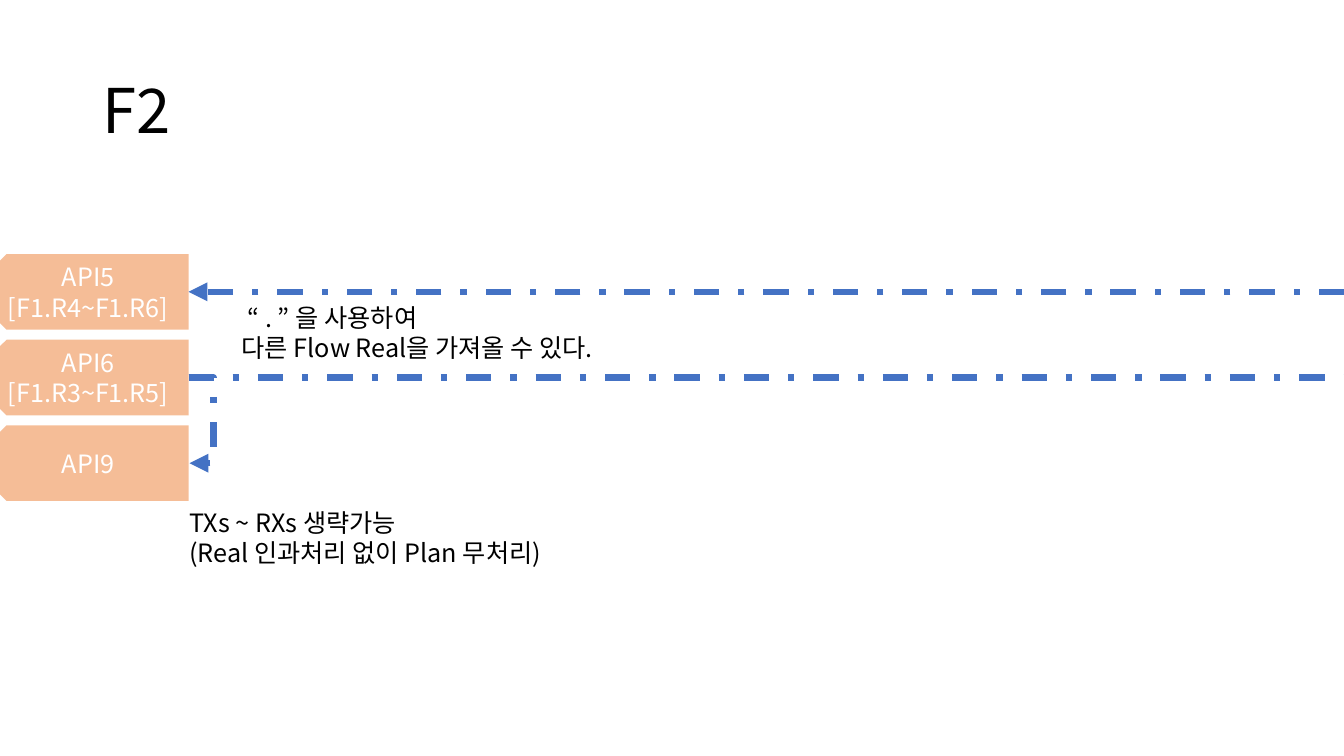
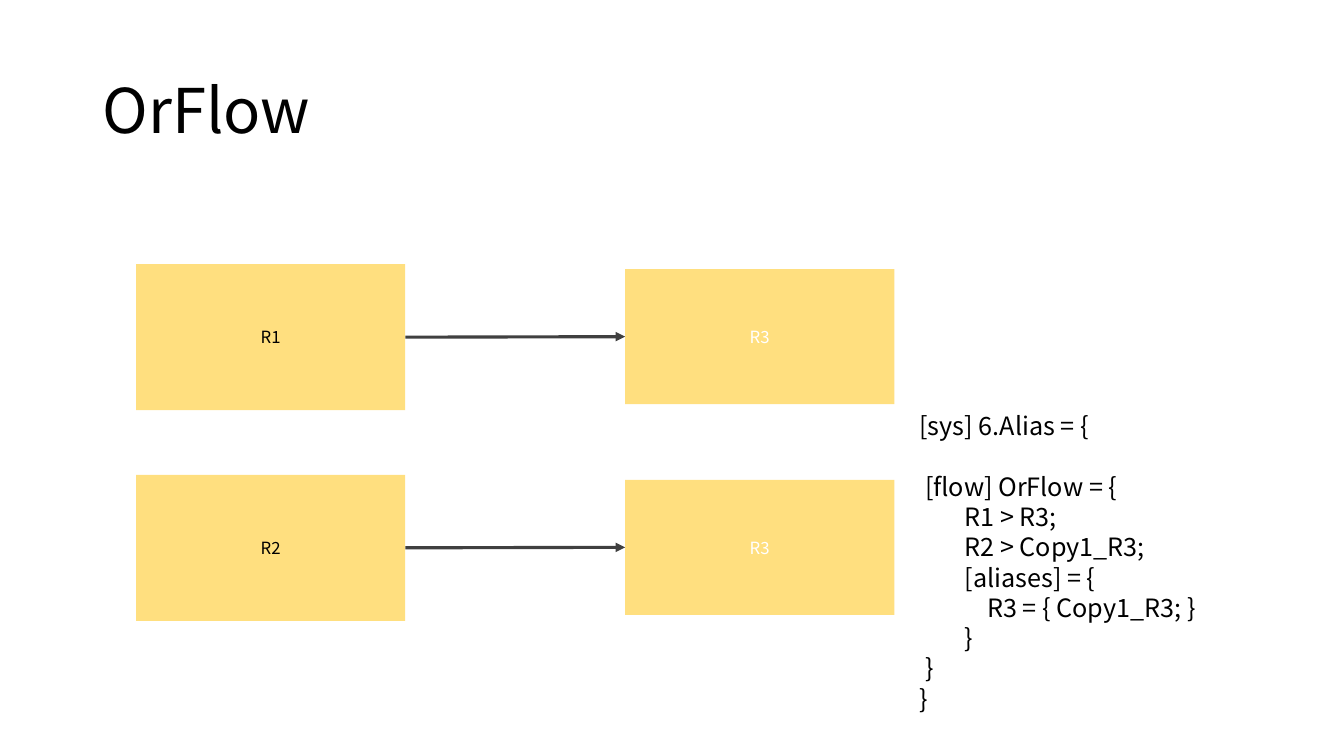
"""Build the F2 and OrFlow slides."""
from pptx import Presentation
from pptx.dml.color import RGBColor
from pptx.enum.dml import MSO_LINE
from pptx.enum.shapes import MSO_CONNECTOR as CXN, MSO_SHAPE as SHAPE
from pptx.enum.text import MSO_ANCHOR as ANCHOR, PP_ALIGN as ALIGN
from pptx.oxml.ns import qn
from pptx.util import Inches, Pt
from lxml.etree import SubElement

FONT = "Noto Sans CJK KR"
BLACK, WHITE = "000000", "FFFFFF"
ORANGE, YELLOW = "ED7D31", "FFC000"
BLUE, GRAY = "4472C4", "404040"


def add_box(s, at, text, size=18, color=BLACK, kind=None, fill=None):
    at = [Inches(v) for v in at]
    if kind is None:
        sp = s.shapes.add_textbox(*at)
    else:
        sp = s.shapes.add_shape(kind, *at)
        sp.shadow.inherit = False
        sp.line.fill.background()
        sp.fill.solid()
        sp.fill.fore_color.rgb = RGBColor.from_string(fill)
        clr = sp._element.spPr.find(qn("a:solidFill"))[0]
        SubElement(clr, qn("a:alpha"), val="50000")
    tf = sp.text_frame
    tf.word_wrap = kind != SHAPE.PENTAGON
    tf.vertical_anchor = ANCHOR.MIDDLE if kind else ANCHOR.TOP
    tf.text = text
    for p in tf.paragraphs:
        p.alignment = ALIGN.CENTER if kind else ALIGN.LEFT
        for r in p.runs:
            r.font.size = Pt(size)
            r.font.color.rgb = RGBColor.from_string(color)
            r.font.name = FONT
            SubElement(r.font._element, qn("a:ea"), typeface=FONT)
    return sp


def add_line(s, kind, start, end, color, width, arrow=True, dash=None):
    cxn = s.shapes.add_connector(kind, *[Inches(v) for v in start + end])
    cxn.line.color.rgb = RGBColor.from_string(color)
    cxn.line.width = Pt(width)
    if dash:
        cxn.line.dash_style = dash
    sppr = cxn._element.spPr
    if arrow:
        SubElement(sppr.find(qn("a:ln")), qn("a:tailEnd"), type="triangle")
    SubElement(sppr, qn("a:effectLst"))
    return cxn


prs = Presentation()
prs.slide_width, prs.slide_height = Inches(13.33), Inches(7.5)
slides = []
for title in ("F2", "OrFlow"):
    s = prs.slides.add_slide(prs.slide_layouts[6])
    tf = add_box(s, (0.92, 0.4, 11.5, 1.45), title, 44).text_frame
    tf.vertical_anchor = ANCHOR.MIDDLE
    tf.paragraphs[0].line_spacing = 0.9
    slides.append(s)
f2, or_flow = slides

api_left, api_top, api_w, api_h, api_pitch = -0.31, 2.52, 2.18, 0.75, 0.85
api_texts = ("API5\n[F1.R4~F1.R6]", "API6\n[F1.R3~F1.R5]", "API9")
api_right = api_left + api_w
mids = []
for i, text in enumerate(api_texts):
    top = api_top + i * api_pitch
    sp = add_box(f2, (api_left, top, api_w, api_h), text, 18, WHITE,
                 SHAPE.PENTAGON, ORANGE)
    sp._element.spPr.find(qn("a:xfrm")).set("flipH", "1")
    mids.append(top + api_h / 2)

dash = MSO_LINE.DASH_DOT
add_line(f2, CXN.STRAIGHT, (13.33, mids[0]), (api_right, mids[0]), BLUE, 4.5, dash=dash)
add_line(f2, CXN.STRAIGHT, (api_right, mids[1]), (13.33, mids[1]), BLUE, 4.5, False, dash)
elbow = add_line(f2, CXN.ELBOW, (api_right, mids[1]), (api_right + 0.01, mids[2]),
                 BLUE, 4.5, dash=dash)
geom = elbow._element.spPr.find(qn("a:prstGeom"))
SubElement(geom.find(qn("a:avLst")), qn("a:gd"), name="adj1", fmla="val 2500000")

note = add_box(f2, (2.3, 2.95, 4.86, 0.71), "“ . ” 을 사용하여\n다른 Flow Real을 가져올 수 있다.")
note.text_frame.paragraphs[0]._p.get_or_add_pPr().set("marL", str(Inches(0.06)))
add_box(f2, (1.78, 4.98, 4.86, 0.71), "TXs ~ RXs 생략가능\n(Real 인과처리 없이 Plan 무처리)")

for source, top in (("R1", 2.62), ("R2", 4.71)):
    left_box = add_box(or_flow, (1.35, top, 2.67, 1.45), source, 12, BLACK,
                       SHAPE.RECTANGLE, YELLOW)
    right_box = add_box(or_flow, (6.2, top + 0.05, 2.67, 1.34), "R3", 12, WHITE,
                        SHAPE.RECTANGLE, YELLOW)
    mid = top + 0.72
    cxn = add_line(or_flow, CXN.STRAIGHT, (4.02, mid), (6.2, mid), GRAY, 2.25)
    cxn.begin_connect(left_box, 3)
    cxn.end_connect(right_box, 1)

code = """[sys] 6.Alias = {
 [flow] OrFlow = {
        R1 > R3;
        R2 > Copy1_R3;
        [aliases] = {
            R3 = { Copy1_R3; }
        }
 }
}"""
listing = add_box(or_flow, (9.02, 4.02, 4.02, 3.43), code)
listing.text_frame.paragraphs[1].space_before = Pt(22)

prs.save("out.pptx")
